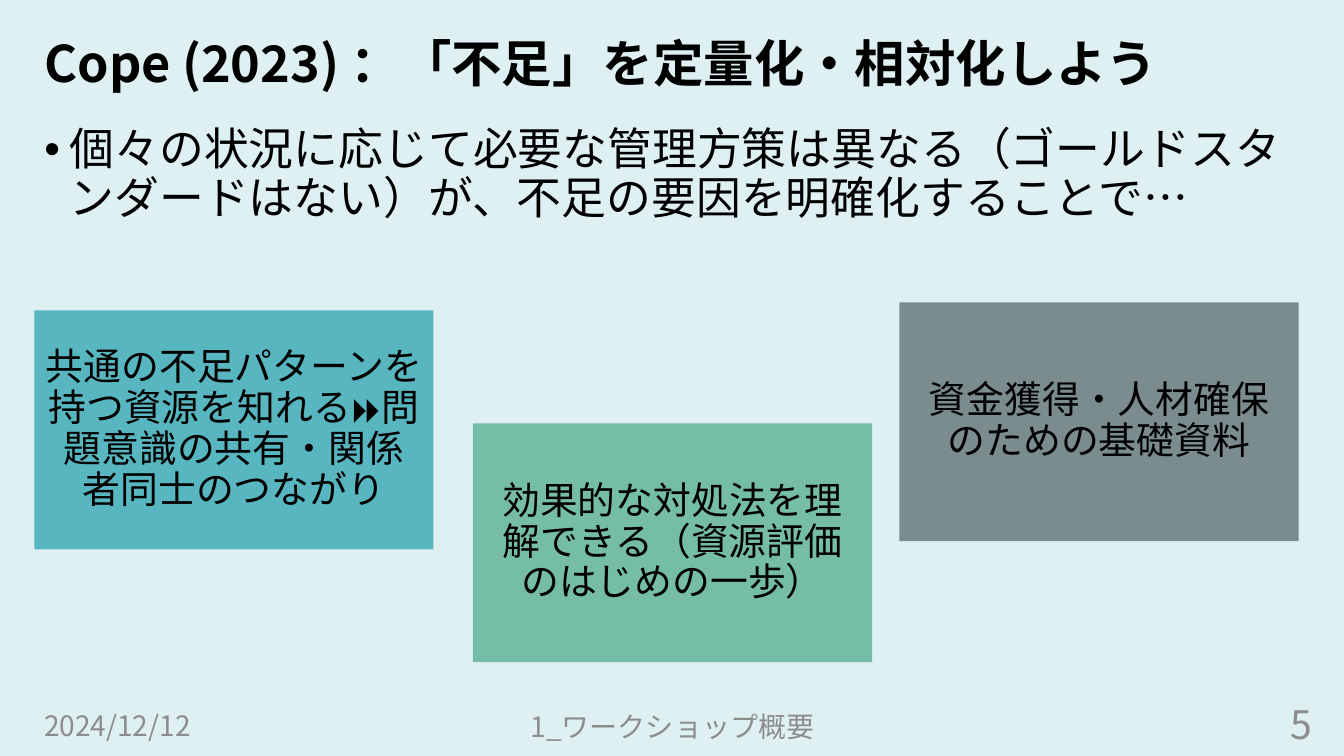
from lxml.etree import SubElement
from pptx import Presentation
from pptx.dml.color import RGBColor
from pptx.enum.shapes import MSO_SHAPE
from pptx.enum.text import MSO_ANCHOR, MSO_AUTO_SIZE, PP_ALIGN
from pptx.oxml.ns import qn
from pptx.util import Inches, Pt

FONT = "Noto Sans CJK JP"
COLORS = {
    "background": "DEF0F2",
    "text": "000000",
    "footer": "8C8C8C",
    "teal": "58B6C0",
    "green": "75BDA7",
    "gray": "7A8C8E",
}


def place(shape, left, top, width, height):
    shape.left, shape.top = Inches(left), Inches(top)
    shape.width, shape.height = Inches(width), Inches(height)


def write(shape, text, size, color="text", bold=False, align=PP_ALIGN.LEFT,
          anchor=MSO_ANCHOR.MIDDLE, spacing=0.9, inset=0.1, bullet=None):
    """Fill the shape with one formatted paragraph."""
    frame = shape.text_frame
    frame.word_wrap = True
    frame.auto_size = MSO_AUTO_SIZE.NONE
    frame.vertical_anchor = anchor
    frame.margin_left = frame.margin_right = Inches(inset)
    para = frame.paragraphs[0]
    para.alignment = align
    para.line_spacing = spacing
    para.space_before = Pt(0)
    if bullet:
        properties = para._p.get_or_add_pPr()
        properties.set("marL", str(Inches(0.25)))
        properties.set("indent", str(-Inches(0.25)))
        SubElement(properties, qn("a:buFont"), typeface="Arial")
        SubElement(properties, qn("a:buChar"), char=bullet)
    span = para.add_run()
    span.text = text
    span.font.name = FONT
    span.font.size = Pt(size)
    span.font.bold = bold
    span.font.color.rgb = RGBColor.from_string(COLORS[color])
    SubElement(span.font._element, qn("a:ea"), typeface=FONT)


deck = Presentation()
deck.slide_width, deck.slide_height = Inches(13.33), Inches(7.5)
page = deck.slides.add_slide(deck.slide_layouts[1])
page.background.fill.solid()
page.background.fill.fore_color.rgb = RGBColor.from_string(COLORS["background"])

title, body = page.shapes.title, page.placeholders[1]
place(title, 0.34, 0.1, 12.08, 1.11)
write(title, "Cope (2023) ：「不足」を定量化・相対化しよう", 36, bold=True)
place(body, 0.34, 1.21, 12.77, 5.74)
write(body, "個々の状況に応じて必要な管理方策は異なる（ゴールドスタンダードはない）が、"
      "不足の要因を明確化することで…", 32, anchor=MSO_ANCHOR.TOP, bullet="•")

footers = [
    ("2024/12/12", 0.34, 7, 3, 0.4, 20, PP_ALIGN.LEFT),
    ("1_ワークショップ概要", 4.42, 7.01, 4.5, 0.4, 20, PP_ALIGN.CENTER),
    ("5", 9.42, 6.95, 3.69, 0.46, 28, PP_ALIGN.RIGHT),
]
for text, left, top, width, height, size, align in footers:
    box = page.shapes.add_textbox(
        Inches(left), Inches(top), Inches(width), Inches(height))
    write(box, text, size, color="footer", align=align, spacing=1.0)

benefits = [
    ("共通の不足パターンを持つ資源を知れる⏩️問題意識の共有・関係者同士のつながり",
     0.34, 3.08, "teal"),
    ("効果的な対処法を理解できる（資源評価のはじめの一歩）", 4.69, 4.2, "green"),
    ("資金獲得・人材確保のための基礎資料", 8.92, 3, "gray"),
]
for text, left, top, color in benefits:
    card = page.shapes.add_shape(
        MSO_SHAPE.RECTANGLE, Inches(left), Inches(top), Inches(3.96), Inches(2.37))
    card.shadow.inherit = False
    card.fill.solid()
    card.fill.fore_color.rgb = RGBColor.from_string(COLORS[color])
    card.line.fill.background()
    write(card, text, 27, align=PP_ALIGN.CENTER, inset=0.11)

deck.save("out.pptx")
